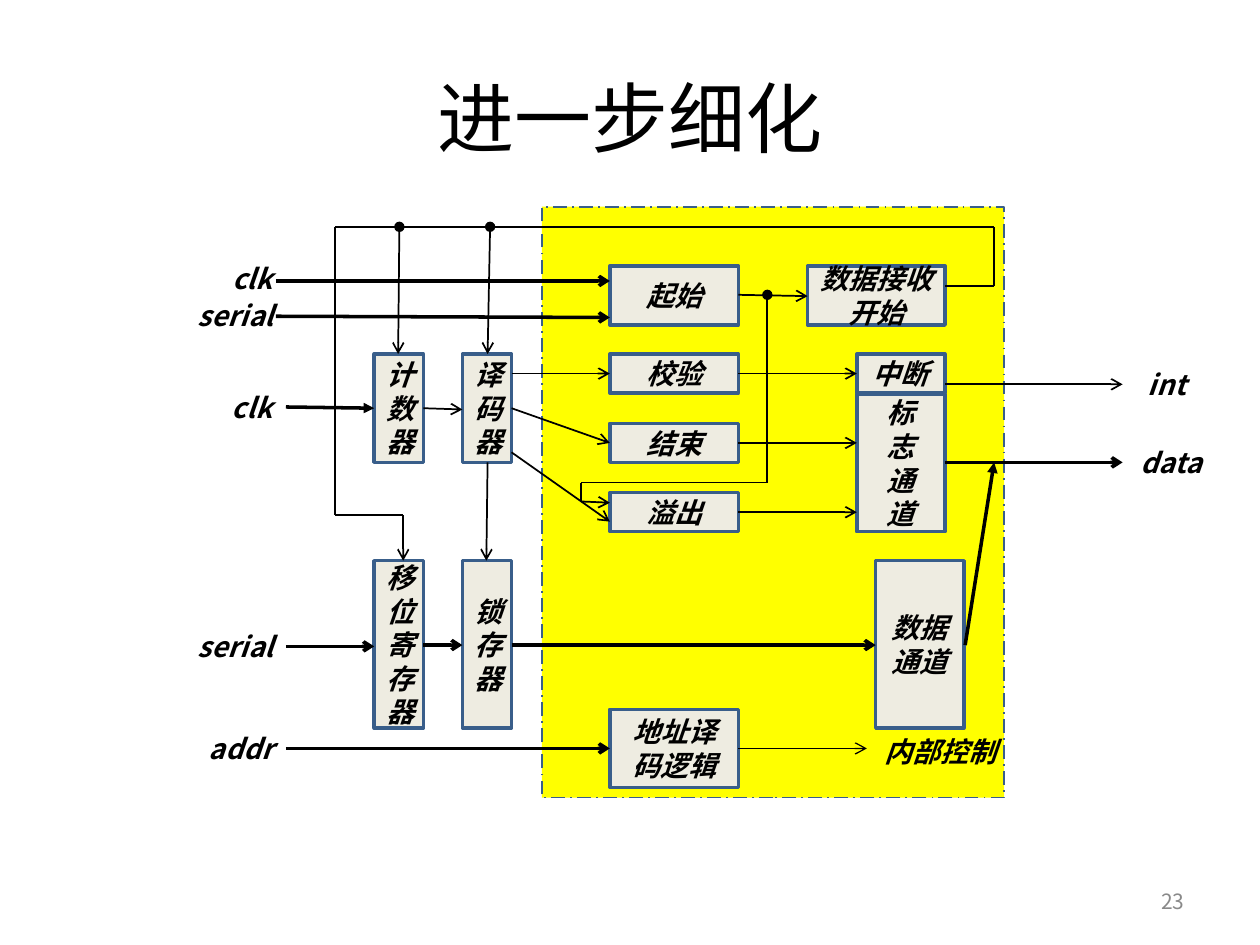
from itertools import pairwise

from lxml.etree import SubElement
from pptx import Presentation
from pptx.dml.color import RGBColor
from pptx.enum.dml import MSO_LINE
from pptx.enum.shapes import MSO_CONNECTOR, MSO_SHAPE
from pptx.enum.text import MSO_ANCHOR, PP_ALIGN
from pptx.oxml.ns import qn
from pptx.util import Inches, Pt

COLORS = {"ink": "000000", "panel": "FFFF00", "block": "EEECE1",
          "edge": "395E8A", "number": "898989"}
CJK = "Noto Sans CJK SC"
THIN, THICK = 1, 2

COUNTER_X, DECODER_X, LOGIC_X, CHANNEL_X = 1.97, 2.67, 3.84, 5.8
NARROW, LOGIC_W, CHANNEL_W, ROW_H = 0.39, 1.02, 0.7, 0.31
START_Y, CHECK_Y, SHIFT_Y, ADDRESS_Y = 1.11, 1.81, 3.45, 4.63
ROWS = [CHECK_Y + 0.55 * i for i in range(3)]
CHECK_MID, END_MID, OVERFLOW_MID = [y + ROW_H / 2 for y in ROWS]
LOGIC_END, CHANNEL_END = LOGIC_X + LOGIC_W, CHANNEL_X + CHANNEL_W
COUNTER_END, DECODER_END = COUNTER_X + NARROW, DECODER_X + NARROW

BLOCKS = [
    ("起始", LOGIC_X, START_Y, LOGIC_W, 0.47),
    ("校验", LOGIC_X, ROWS[0], LOGIC_W, ROW_H),
    ("结束", LOGIC_X, ROWS[1], LOGIC_W, ROW_H),
    ("溢出", LOGIC_X, ROWS[2], LOGIC_W, ROW_H),
    ("地址译码逻辑", LOGIC_X, ADDRESS_Y, LOGIC_W, 0.62),
    ("标\n志\n通\n道", CHANNEL_X, 2.13, CHANNEL_W, 1.09),
    ("中断", CHANNEL_X, CHECK_Y, CHANNEL_W, ROW_H),
    ("数据通道", 5.95, SHIFT_Y, CHANNEL_W, 1.33),
    ("数据接收开始", 5.41, START_Y, 1.09, 0.47),
    ("计数器", COUNTER_X, CHECK_Y, NARROW, 0.86),
    ("译码器", DECODER_X, CHECK_Y, NARROW, 0.86),
    ("移位寄存器", COUNTER_X, SHIFT_Y, NARROW, 1.33),
    ("锁存器", DECODER_X, SHIFT_Y, NARROW, 1.33),
]

LABELS = [
    ("clk", 0.48, 1.03, 0.78, PP_ALIGN.RIGHT),
    ("serial", 0.25, 1.32, 1.02, PP_ALIGN.RIGHT),
    ("clk", 0.56, 2.05, 0.7, PP_ALIGN.RIGHT),
    ("serial", 0.25, 3.95, 1.02, PP_ALIGN.RIGHT),
    ("addr", 0.33, 4.76, 0.94, PP_ALIGN.RIGHT),
    ("int", 7.91, 1.87, 0.7, PP_ALIGN.CENTER),
    ("data", 7.91, 2.49, 0.78, PP_ALIGN.CENTER),
    ("内部控制", 5.88, 4.78, 1.17, PP_ALIGN.CENTER),
]

WIRES = [
    ([(1.19, 1.23), (LOGIC_X, 1.23)], THICK, None, "arrow"),
    ([(1.19, 1.51), (LOGIC_X, 1.52)], THICK, None, "arrow"),
    ([(1.27, 2.23), (COUNTER_X, 2.24)], THICK, None, "triangle"),
    ([(1.27, 4.13), (COUNTER_X, 4.13)], THICK, None, "arrow"),
    ([(1.27, 4.94), (LOGIC_X, 4.94)], THICK, None, "arrow"),
    ([(COUNTER_END, 4.12), (DECODER_X, 4.12)], THICK, None, "arrow"),
    ([(DECODER_END, 4.12), (5.95, 4.12)], THICK, None, "arrow"),
    ([(CHANNEL_END, 2.67), (7.91, 2.67)], THICK, None, "arrow"),
    ([(6.66, 4.12), (6.89, 2.67)], THICK, None, "triangle"),
    ([(CHANNEL_END, 1.27), (6.89, 1.27), (6.89, 0.8), (1.66, 0.8),
      (1.66, 3.09), (2.2, 3.09), (2.2, SHIFT_Y)], THIN, None, "arrow"),
    ([(2.17, 0.8), (2.16, CHECK_Y)], THIN, "oval", "arrow"),
    ([(2.89, 0.8), (2.87, CHECK_Y)], THIN, "oval", "arrow"),
    ([(COUNTER_END, 2.24), (DECODER_X, 2.25)], THIN, None, "arrow"),
    ([(DECODER_END, CHECK_MID), (LOGIC_X, CHECK_MID)], THIN, None, "arrow"),
    ([(DECODER_END, 2.24), (LOGIC_X, END_MID)], THIN, None, "arrow"),
    ([(DECODER_END, 2.59), (LOGIC_X, 3.14)], THIN, None, "arrow"),
    ([(2.87, 2.67), (2.86, SHIFT_Y)], THIN, None, "arrow"),
    ([(LOGIC_END, 1.34), (5.41, 1.35)], THIN, None, "arrow"),
    ([(5.09, 1.34), (5.09, 2.83), (3.61, 2.83), (3.61, 2.98),
      (LOGIC_X, 2.99)], THIN, "oval", "arrow"),
    ([(LOGIC_END, CHECK_MID), (CHANNEL_X, CHECK_MID)], THIN, None, "arrow"),
    ([(LOGIC_END, END_MID), (CHANNEL_X, END_MID)], THIN, None, "arrow"),
    ([(LOGIC_END, OVERFLOW_MID), (CHANNEL_X, OVERFLOW_MID)], THIN, None, "arrow"),
    ([(CHANNEL_END, 2.05), (7.91, 2.05)], THIN, None, "arrow"),
    ([(LOGIC_END, 4.94), (5.88, 4.94)], 0.75, None, "arrow"),
]


def rgb(name):
    """Return a palette colour."""
    return RGBColor.from_string(COLORS[name])


def write(shape, text, size, font, color="ink", align=PP_ALIGN.CENTER, strong=False):
    """Fill a shape with evenly formatted paragraphs."""
    tf = shape.text_frame
    tf.word_wrap = True
    tf.text = text
    for p in tf.paragraphs:
        p.alignment = align
        p.font.size = Pt(size)
        p.font.name = font
        p.font.bold = p.font.italic = strong
        p.font.color.rgb = rgb(color)
        SubElement(p._p.pPr.find(qn("a:defRPr")), qn("a:ea"), typeface=font)
    return tf


def add_box(s, left, top, width, height, fill, weight):
    """Add a filled, outlined rectangle."""
    box = s.shapes.add_shape(MSO_SHAPE.RECTANGLE, Inches(left), Inches(top),
                             Inches(width), Inches(height))
    box.shadow.inherit = False
    box.fill.solid()
    box.fill.fore_color.rgb = rgb(fill)
    box.line.color.rgb = rgb("edge")
    box.line.width = Pt(weight)
    return box


def add_label(s, text, left, top, width, height, size, **style):
    """Add a text box."""
    box = s.shapes.add_textbox(Inches(left), Inches(top), Inches(width), Inches(height))
    return write(box, text, size, CJK, **style)


def add_wire(s, left, top, points, weight, head, tail):
    """Join points by straight connectors with optional end marks."""
    segments = list(pairwise(points))
    for i, ((x1, y1), (x2, y2)) in enumerate(segments):
        line = s.shapes.add_connector(
            MSO_CONNECTOR.STRAIGHT, Inches(left + x1), Inches(top + y1),
            Inches(left + x2), Inches(top + y2))
        line.line.color.rgb = rgb("ink")
        line.line.width = Pt(weight)
        ln = line.line._get_or_add_ln()
        if head and i == 0:
            SubElement(ln, qn("a:headEnd"), type=head)
        if tail and i == len(segments) - 1:
            SubElement(ln, qn("a:tailEnd"), type=tail)
        SubElement(line._element.spPr, qn("a:effectLst"))


def add_title(s, left, top, width, height):
    """Place and format the slide title."""
    title = s.shapes.title
    title.left, title.top = Inches(left), Inches(top)
    title.width, title.height = Inches(width), Inches(height)
    write(title, "进一步细化", 44, "Arial").vertical_anchor = MSO_ANCHOR.MIDDLE


def add_diagram(s, left, top):
    """Draw the receiver block diagram from its top left corner."""
    panel = add_box(s, left + 3.3, top + 0.64, 3.67, 4.69, "panel", 1)
    panel.line.dash_style = MSO_LINE.LONG_DASH_DOT
    for text, x, y, w, h in BLOCKS:
        block = add_box(s, left + x, top + y, w, h, "block", 2)
        tf = write(block, text, 16, "Calibri", strong=True)
        tf.vertical_anchor = MSO_ANCHOR.MIDDLE
    for wire in WIRES:
        add_wire(s, left, top, *wire)
    for text, x, y, w, align in LABELS:
        add_label(s, text, left + x, top + y, w, 0.37, 16, align=align, strong=True)


def add_number(s, left, top, width, height):
    """Place the slide number."""
    tf = add_label(s, "23", left, top, width, height, 12,
                   color="number", align=PP_ALIGN.RIGHT)
    tf.vertical_anchor = MSO_ANCHOR.MIDDLE


def main():
    """Build and save the slide."""
    prs = Presentation()
    prs.slide_width, prs.slide_height = Inches(10), Inches(7.5)
    s = prs.slides.add_slide(prs.slide_layouts[5])
    add_title(s, 0.5, 0.3, 9, 1.25)
    add_diagram(s, 1, 1)
    add_number(s, 7.17, 6.95, 2.33, 0.4)
    prs.save("out.pptx")


if __name__ == "__main__":
    main()
